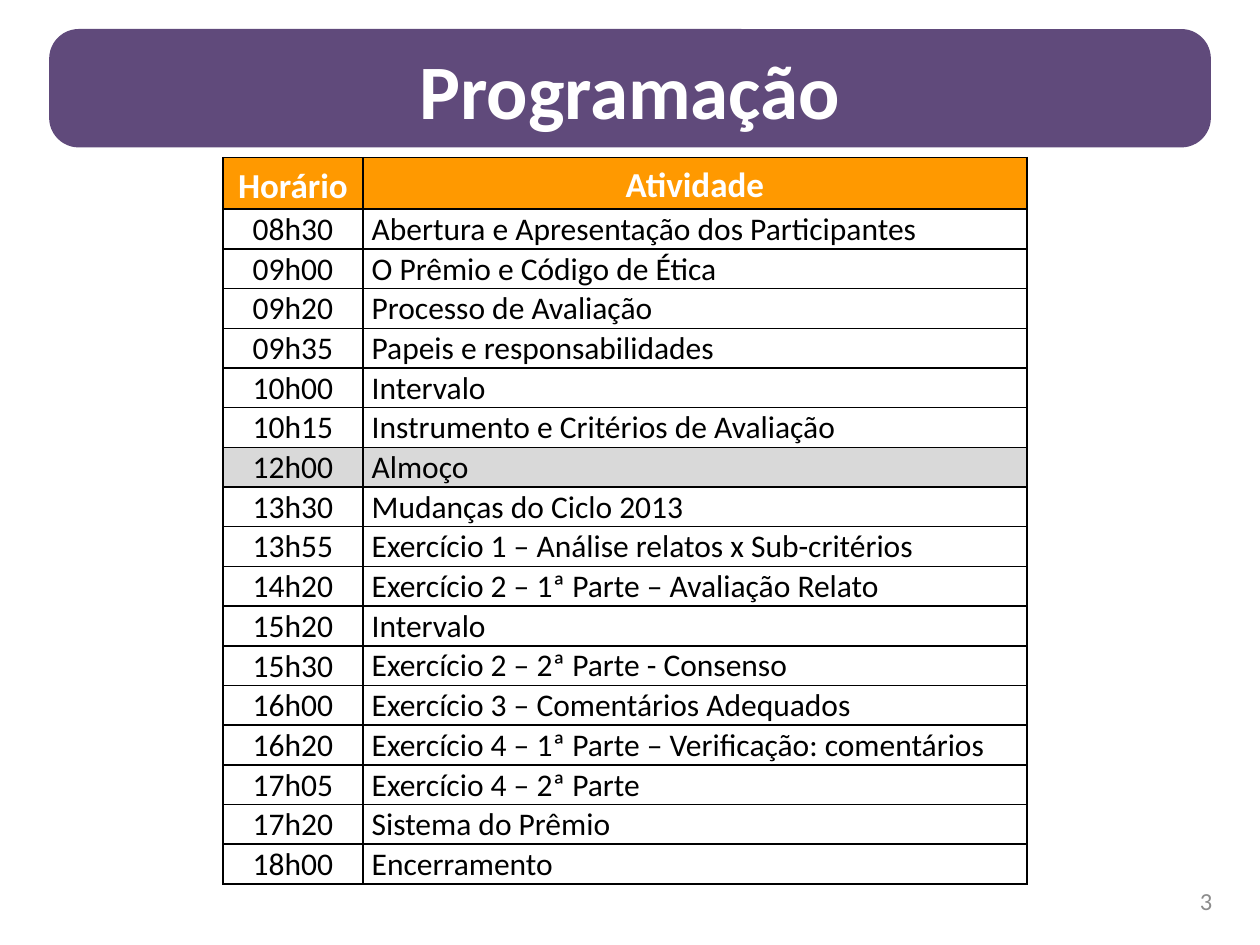
"""Build the programme slide: a title banner, a timetable and a page number."""
from dataclasses import dataclass

from lxml import etree
from pptx import Presentation
from pptx.dml.color import RGBColor
from pptx.enum.shapes import MSO_SHAPE
from pptx.enum.text import MSO_ANCHOR, PP_ALIGN
from pptx.oxml.ns import qn
from pptx.util import Inches, Pt

ROUNDED = MSO_SHAPE.ROUNDED_RECTANGLE
TOP, MIDDLE = MSO_ANCHOR.TOP, MSO_ANCHOR.MIDDLE
LEFT, CENTER, RIGHT = PP_ALIGN.LEFT, PP_ALIGN.CENTER, PP_ALIGN.RIGHT


@dataclass(frozen=True)
class Theme:
    font: str = "Calibri"
    banner: str = "604A7B"
    header: str = "FF9900"
    lunch: str = "D9D9D9"
    white: str = "FFFFFF"
    black: str = "000000"
    gray: str = "8C8C8C"
    title_size: int = 44
    header_size: int = 20
    body_size: int = 18
    number_size: int = 14
    border: int = 1


THEME = Theme()

HEADER = ("Horário", "Atividade")
LUNCH = ("12h00", "Almoço")
SCHEDULE = [
    HEADER,
    ("08h30", "Abertura e Apresentação dos Participantes"),
    ("09h00", "O Prêmio e Código de Ética"),
    ("09h20", "Processo de Avaliação"),
    ("09h35", "Papeis e responsabilidades"),
    ("10h00", "Intervalo"),
    ("10h15", "Instrumento e Critérios de Avaliação"),
    LUNCH,
    ("13h30", "Mudanças do Ciclo 2013"),
    ("13h55", "Exercício 1 – Análise relatos x Sub-critérios"),
    ("14h20", "Exercício 2 – 1ª Parte – Avaliação Relato"),
    ("15h20", "Intervalo"),
    ("15h30", "Exercício 2 – 2ª Parte - Consenso"),
    ("16h00", "Exercício 3 – Comentários Adequados"),
    ("16h20", "Exercício 4 – 1ª Parte – Verificação: comentários"),
    ("17h05", "Exercício 4 – 2ª Parte"),
    ("17h20", "Sistema do Prêmio"),
    ("18h00", "Encerramento"),
]


def write(tf, text, size, color, align, bold=False):
    p = tf.paragraphs[0]
    p.text = text
    p.alignment = align
    p.font.name = THEME.font
    p.font.size = Pt(size)
    p.font.bold = bold
    p.font.color.rgb = RGBColor.from_string(color)
    return p


def add_borders(cell):
    tc_pr = cell._tc.get_or_add_tcPr()
    for side in ("a:lnL", "a:lnR", "a:lnT", "a:lnB"):
        ln = etree.SubElement(tc_pr, qn(side), w=str(Pt(THEME.border)))
        fill = etree.SubElement(ln, qn("a:solidFill"))
        etree.SubElement(fill, qn("a:srgbClr"), val=THEME.black)


prs = Presentation()
prs.slide_width, prs.slide_height = Inches(10), Inches(7.5)
COL, ROW = prs.slide_width / 100, prs.slide_height / 100
s = prs.slides.add_slide(prs.slide_layouts[6])

HEADER_ROW, BODY_ROW = int(5.47 * ROW), int(4.13 * ROW)
TIME_COL, ACTIVITY_COL = int(11.1 * COL), int(52.7 * COL)
body_count = len(SCHEDULE) - 1
table = s.shapes.add_table(
    len(SCHEDULE), len(HEADER), int(17.7 * COL), int(16.67 * ROW),
    TIME_COL + ACTIVITY_COL, HEADER_ROW + body_count * BODY_ROW,
).table
table.first_row = table.horz_banding = False
table.columns[0].width, table.columns[1].width = TIME_COL, ACTIVITY_COL

fills = {HEADER: THEME.header, LUNCH: THEME.lunch}
for i, entry in enumerate(SCHEDULE):
    is_header = entry == HEADER
    table.rows[i].height = HEADER_ROW if is_header else BODY_ROW
    size = THEME.header_size if is_header else THEME.body_size
    color = THEME.white if is_header else THEME.black
    for j, text in enumerate(entry):
        cell = table.cell(i, j)
        cell.margin_left = cell.margin_right = int(0.7 * COL)
        cell.margin_top = 0 if is_header else int(0.13 * ROW)
        cell.margin_bottom = 0
        cell.vertical_anchor = MIDDLE if j == 0 else TOP
        add_borders(cell)
        cell.fill.solid()
        cell.fill.fore_color.rgb = RGBColor.from_string(fills.get(entry, THEME.white))
        align = CENTER if is_header or j == 0 else LEFT
        p = write(cell.text_frame, text, size, color, align, is_header)
        if is_header:
            p.line_spacing = 1.15

sp = s.shapes.add_textbox(int(73.9 * COL), int(92.67 * ROW), int(23.3 * COL), int(5.33 * ROW))
tf = sp.text_frame
tf.word_wrap = True
tf.vertical_anchor = MIDDLE
write(tf, "3", THEME.number_size, THEME.gray, RIGHT)

sp = s.shapes.add_shape(ROUNDED, int(3.9 * COL), int(3.07 * ROW), int(92.2 * COL), int(12.53 * ROW))
sp.adjustments[0] = 0.25
sp.shadow.inherit = False
sp.fill.solid()
sp.fill.fore_color.rgb = RGBColor.from_string(THEME.banner)
sp.line.fill.background()
sp.text_frame.vertical_anchor = MIDDLE
write(sp.text_frame, "Programação", THEME.title_size, THEME.white, CENTER, True)

prs.save("out.pptx")
